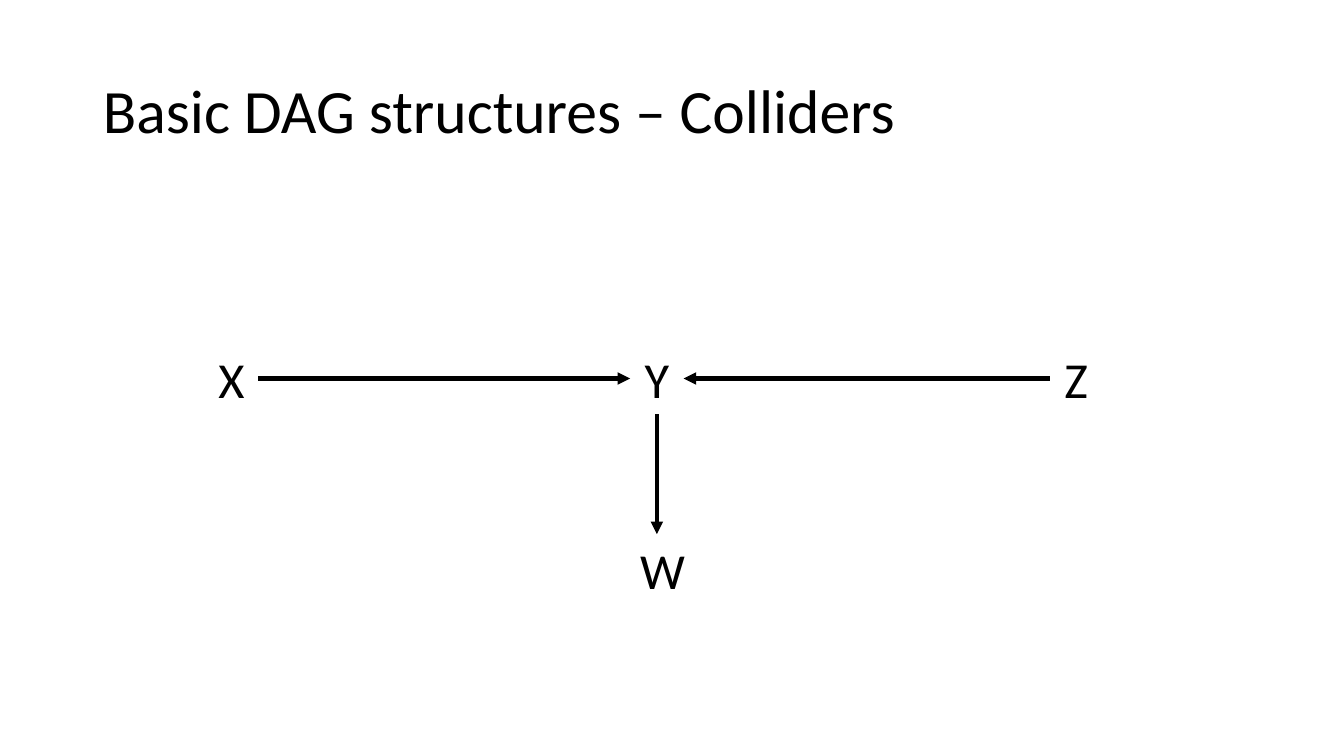
from dataclasses import dataclass

from lxml.etree import SubElement
from pptx import Presentation
from pptx.dml.color import RGBColor
from pptx.enum.shapes import MSO_CONNECTOR
from pptx.enum.text import MSO_ANCHOR, MSO_AUTO_SIZE, PP_ALIGN
from pptx.oxml.ns import qn
from pptx.util import Inches, Pt


@dataclass(frozen=True)
class Theme:
    font: str = "Calibri"
    ink: RGBColor = RGBColor(0, 0, 0)
    title_size: int = 44
    node_size: int = 36
    arrow_width: int = 3


THEME = Theme()
SLIDE_WIDTH, SLIDE_HEIGHT = 13.33, 7.5
NODE_WIDTH, NODE_HEIGHT = 0.53, 0.71
TOP, LEFT, BOTTOM, RIGHT = range(4)

# Node offsets from the diagram's left and top, in inches
NODES = {"X": (0, 0), "Y": (4.22, 0), "Z": (8.38, 0), "W": (4.22, 1.9)}
ARROWS = [("X", RIGHT, "Y", LEFT), ("Z", LEFT, "Y", RIGHT), ("Y", BOTTOM, "W", TOP)]


def write(shape, text, *, size, align=PP_ALIGN.LEFT, anchor=MSO_ANCHOR.TOP,
          fit=MSO_AUTO_SIZE.NONE, line_spacing=1.0):
    frame = shape.text_frame
    frame.word_wrap = True
    frame.auto_size = fit
    frame.vertical_anchor = anchor
    paragraph = frame.paragraphs[0]
    paragraph.alignment = align
    paragraph.line_spacing = line_spacing
    run = paragraph.add_run()
    run.text = text
    run.font.name = THEME.font
    run.font.size = Pt(size)
    run.font.color.rgb = THEME.ink


def place_title(slide, text, left, top, width, height):
    title = slide.shapes.title
    title.left, title.top = Inches(left), Inches(top)
    title.width, title.height = Inches(width), Inches(height)
    write(title, text, size=THEME.title_size, anchor=MSO_ANCHOR.MIDDLE, line_spacing=0.9)


def add_node(slide, letter, left, top):
    node = slide.shapes.add_textbox(
        Inches(left), Inches(top), Inches(NODE_WIDTH), Inches(NODE_HEIGHT))
    write(node, letter, size=THEME.node_size, align=PP_ALIGN.CENTER,
          fit=MSO_AUTO_SIZE.SHAPE_TO_FIT_TEXT)
    return node


def add_arrow(slide, cause, cause_side, effect, effect_side):
    arrow = slide.shapes.add_connector(MSO_CONNECTOR.STRAIGHT, 0, 0, 0, 0)
    arrow.begin_connect(cause, cause_side)
    arrow.end_connect(effect, effect_side)
    arrow.line.color.rgb = THEME.ink
    arrow.line.width = Pt(THEME.arrow_width)
    properties = arrow.line._get_or_add_ln()
    SubElement(properties, qn("a:tailEnd"), type="triangle")
    SubElement(properties.getparent(), qn("a:effectLst"))


def draw_collider(slide, left, top):
    nodes = {letter: add_node(slide, letter, left + across, top + down)
             for letter, (across, down) in NODES.items()}
    for cause, cause_side, effect, effect_side in ARROWS:
        add_arrow(slide, nodes[cause], cause_side, nodes[effect], effect_side)


def main():
    deck = Presentation()
    deck.slide_width, deck.slide_height = Inches(SLIDE_WIDTH), Inches(SLIDE_HEIGHT)
    slide = deck.slides.add_slide(deck.slide_layouts.get_by_name("Title Only"))
    margin = 0.92
    place_title(slide, "Basic DAG structures – Colliders",
                margin, 0.4, SLIDE_WIDTH - 2 * margin, 1.45)
    draw_collider(slide, 2.03, 3.4)
    deck.save("out.pptx")


if __name__ == "__main__":
    main()
